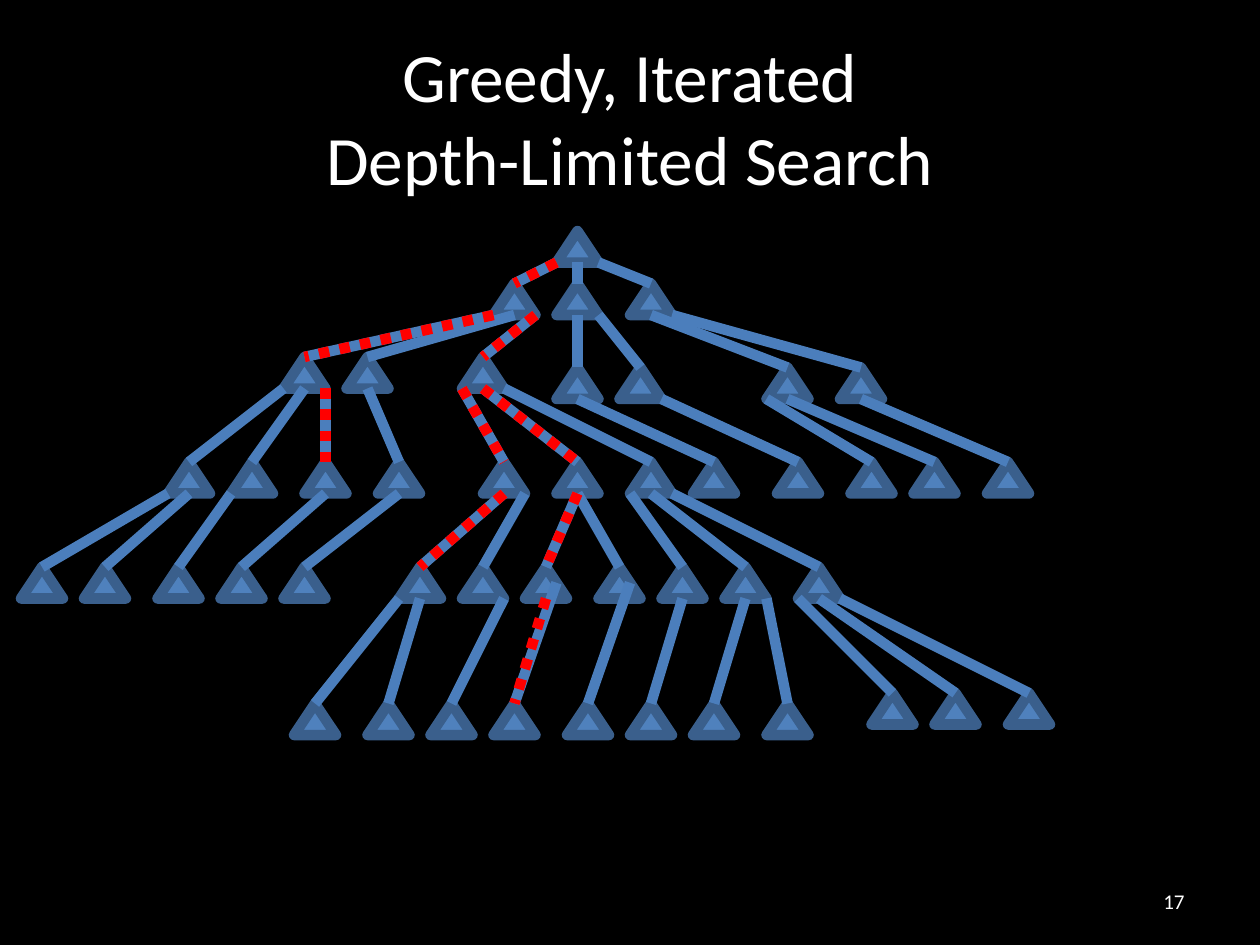
from dataclasses import dataclass
from enum import Enum
from typing import Optional

from lxml import etree
from pptx import Presentation
from pptx.dml.color import RGBColor
from pptx.enum.dml import MSO_LINE
from pptx.enum.shapes import MSO_CONNECTOR, MSO_SHAPE
from pptx.enum.text import MSO_ANCHOR, PP_ALIGN
from pptx.oxml.ns import qn
from pptx.util import Cm, Pt

TRIANGLE = MSO_SHAPE.ISOSCELES_TRIANGLE
STRAIGHT = MSO_CONNECTOR.STRAIGHT
DOTTED = MSO_LINE.ROUND_DOT
MIDDLE_ANCHOR = MSO_ANCHOR.MIDDLE
CENTER, RIGHT_ALIGNED = PP_ALIGN.CENTER, PP_ALIGN.RIGHT

GRID_CM = 2.54 / 12
NODE_WIDTH, NODE_HEIGHT = 4, 3


@dataclass(frozen=True)
class Theme:
    background: RGBColor = RGBColor(0x00, 0x00, 0x00)
    text: RGBColor = RGBColor(0xFF, 0xFF, 0xFF)
    node_fill: RGBColor = RGBColor(0x4F, 0x81, 0xBD)
    node_line: RGBColor = RGBColor(0x3A, 0x5F, 0x8C)
    edge: RGBColor = RGBColor(0x4B, 0x7E, 0xBC)
    trail: RGBColor = RGBColor(0xFF, 0x00, 0x00)
    font: str = "Calibri"
    title_size: Pt = Pt(39.6)
    number_size: Pt = Pt(12)
    line_width: Pt = Pt(6)


THEME = Theme()


class Foot(Enum):
    LEFT = (0, 3)
    MIDDLE = (2, 3)
    RIGHT = (4, 3)
    SIDE = (3, 1.5)


LEFT, MIDDLE, RIGHT, SIDE = Foot


@dataclass(frozen=True)
class Node:
    left: float
    top: float
    parent: int = 0
    foot: Foot = MIDDLE
    trail: Optional[Foot] = None


@dataclass(frozen=True)
class Label:
    left: float
    top: float
    width: float
    height: float
    lines: tuple
    size: Pt
    alignment: PP_ALIGN


LEVELS = [
    [Node(53, 22)],
    [
        Node(47, 27, 0, LEFT, LEFT),
        Node(53, 27, 0, MIDDLE),
        Node(60, 27, 0, RIGHT),
    ],
    [
        Node(27, 34, 0, LEFT, LEFT),
        Node(33, 34, 0, MIDDLE),
        Node(44, 34, 0, RIGHT, RIGHT),
        Node(53, 35, 1, MIDDLE),
        Node(59, 35, 1, RIGHT),
        Node(73, 35, 2, MIDDLE),
        Node(80, 35, 2, RIGHT),
    ],
    [
        Node(16, 44, 0, LEFT),
        Node(22, 44, 0, MIDDLE),
        Node(29, 44, 0, RIGHT, RIGHT),
        Node(36, 44, 1, MIDDLE),
        Node(46, 44, 2, LEFT, LEFT),
        Node(53, 44, 2, MIDDLE, MIDDLE),
        Node(60, 44, 2, RIGHT),
        Node(66, 44, 3, MIDDLE),
        Node(74, 44, 4, RIGHT),
        Node(81, 44, 5, LEFT),
        Node(87, 44, 5, MIDDLE),
        Node(94, 44, 6, MIDDLE),
    ],
    [
        Node(2, 54, 0, LEFT),
        Node(8, 54, 0, MIDDLE),
        Node(15, 54, 1, LEFT),
        Node(21, 54, 2, MIDDLE),
        Node(27, 54, 3, MIDDLE),
        Node(38, 54, 4, MIDDLE, MIDDLE),
        Node(44, 54, 4, RIGHT),
        Node(50, 54, 5, MIDDLE, MIDDLE),
        Node(57, 54, 5, MIDDLE),
        Node(63, 54, 6, LEFT),
        Node(69, 54, 6, MIDDLE),
        Node(76, 54, 6, RIGHT),
    ],
    [
        Node(28, 67, 5, LEFT),
        Node(35, 67, 5, MIDDLE),
        Node(41, 67, 6, RIGHT),
        Node(47, 67, 7, SIDE, MIDDLE),
        Node(54, 67, 8, SIDE),
        Node(60, 67, 9, MIDDLE),
        Node(66, 67, 10, MIDDLE),
        Node(73, 67, 10, RIGHT),
        Node(83, 66, 11, LEFT),
        Node(89, 66, 11, MIDDLE),
        Node(96, 66, 11, RIGHT),
    ],
]

LABELS = [
    Label(1.27, 0.76, 22.86, 3.18, ("Greedy, Iterated", "Depth-Limited Search"),
          THEME.title_size, CENTER),
    Label(18.2, 17.65, 5.93, 1.02, ("17",), THEME.number_size, RIGHT_ALIGNED),
]


def grid(units: float) -> Cm:
    return Cm(units * GRID_CM)


def add_label(slide, label: Label) -> None:
    box = slide.shapes.add_textbox(
        Cm(label.left), Cm(label.top), Cm(label.width), Cm(label.height))
    frame = box.text_frame
    frame.word_wrap = True
    frame.vertical_anchor = MIDDLE_ANCHOR
    paragraph = frame.paragraphs[0]
    paragraph.alignment = label.alignment
    for index, line in enumerate(label.lines):
        if index:
            paragraph.add_line_break()
        run = paragraph.add_run()
        run.text = line
        run.font.name = THEME.font
        run.font.size = label.size
        run.font.color.rgb = THEME.text


def add_node(slide, node: Node):
    shape = slide.shapes.add_shape(
        TRIANGLE, grid(node.left), grid(node.top), grid(NODE_WIDTH), grid(NODE_HEIGHT))
    shape.shadow.inherit = False
    shape.fill.solid()
    shape.fill.fore_color.rgb = THEME.node_fill
    shape.line.color.rgb = THEME.node_line
    shape.line.width = THEME.line_width
    return shape


def add_edge(slide, parent: Node, foot: Foot, child: Node, child_shape, color: RGBColor):
    across, down = foot.value
    connector = slide.shapes.add_connector(
        STRAIGHT, grid(parent.left + across), grid(parent.top + down),
        grid(child.left + NODE_WIDTH / 2), grid(child.top))
    connector.end_connect(child_shape, 0)
    connector.line.color.rgb = color
    connector.line.width = THEME.line_width
    etree.SubElement(connector._element.spPr, qn("a:effectLst"))
    return connector


def add_tree(slide) -> None:
    shapes = {node: add_node(slide, node) for level in LEVELS for node in level}
    links = [(parents[child.parent], child)
             for parents, children in zip(LEVELS, LEVELS[1:]) for child in children]
    for parent, child in links:
        add_edge(slide, parent, child.foot, child, shapes[child], THEME.edge)
    for parent, child in links:
        if child.trail:
            trail = add_edge(slide, parent, child.trail, child, shapes[child], THEME.trail)
            trail.line.dash_style = DOTTED


def main() -> None:
    presentation = Presentation()
    presentation.slide_width, presentation.slide_height = Cm(25.4), Cm(19.05)
    slide = presentation.slides.add_slide(presentation.slide_layouts[6])
    slide.background.fill.solid()
    slide.background.fill.fore_color.rgb = THEME.background
    for label in LABELS:
        add_label(slide, label)
    add_tree(slide)
    presentation.save("out.pptx")


if __name__ == "__main__":
    main()
